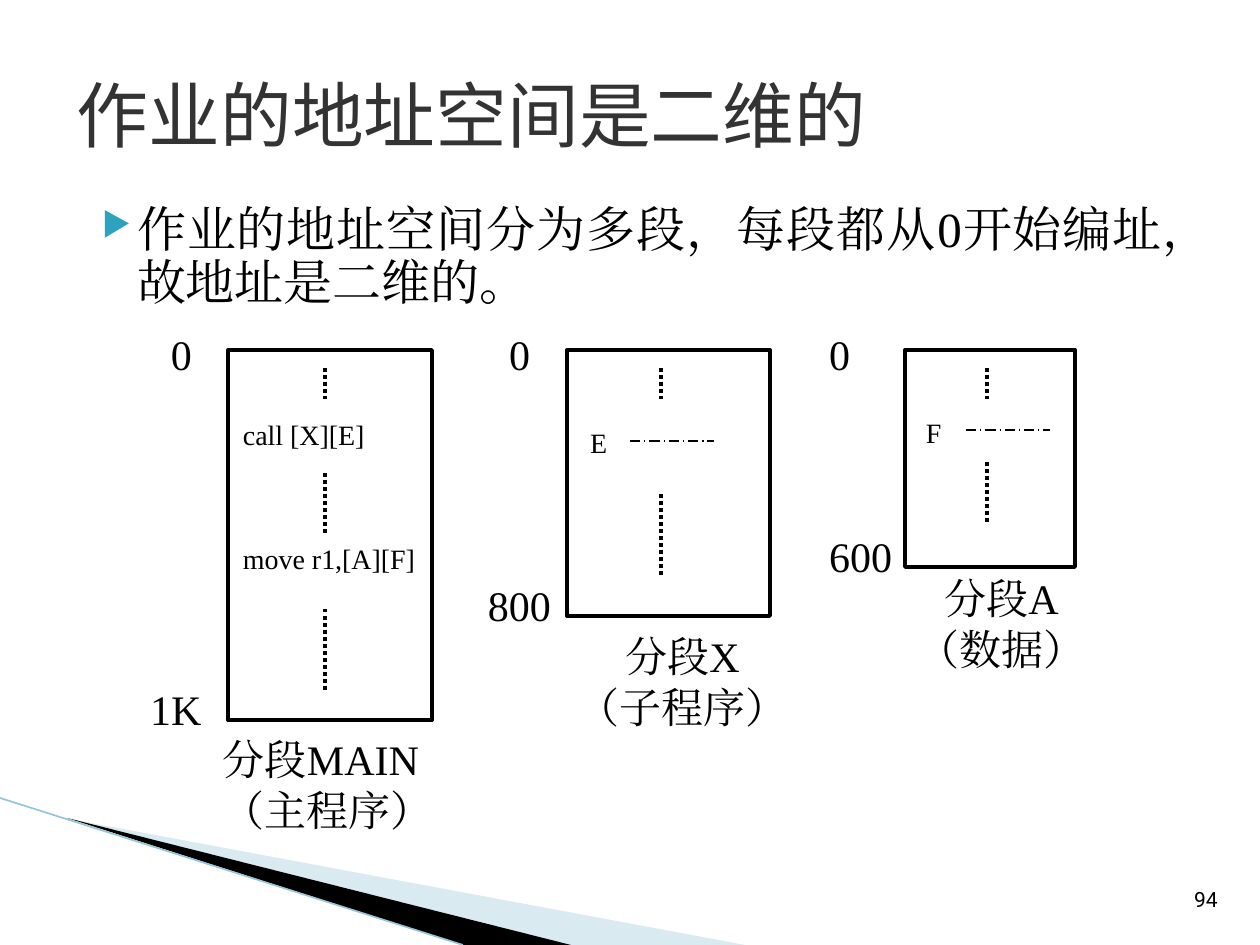
from dataclasses import dataclass

from lxml.etree import SubElement
from pptx import Presentation
from pptx.dml.color import RGBColor
from pptx.enum.dml import MSO_LINE
from pptx.enum.shapes import MSO_CONNECTOR, MSO_SHAPE
from pptx.enum.text import MSO_ANCHOR, PP_ALIGN
from pptx.oxml.ns import qn
from pptx.util import Pt

EMU_PER_PX = 914400 / 126
COLORS = {
    "white": "FFFFFF", "black": "000000", "title": "333333",
    "bullet": "2DA2BF", "pale": "A0CBDC", "edge": "97C5D8",
}
SERIF, SANS, NUMBER = "Times New Roman", "Noto Sans CJK SC", "Roboto"

Box = tuple[int, int, int, int]
Point = tuple[int, int]


@dataclass
class Segment:
    frame: Box
    start_x: int
    end_x: int
    end: str
    caption: list[str]
    caption_box: Box
    caption_align: PP_ALIGN
    code: list[tuple[str, int, int]]
    dots_x: int
    dots: list[Point]
    dash: tuple[Point, Point] | None = None


SEGMENTS = [
    Segment((228, 350, 204, 370), 171, 150, "1K", ["分段MAIN", "（主程序）"],
            (223, 734, 230, 100), PP_ALIGN.LEFT,
            [("call [X][E]", 243, 418), ("move r1,[A][F]", 243, 542)],
            325, [(368, 399), (473, 535), (609, 693)]),
    Segment((567, 350, 203, 266), 509, 488, "800", ["分段X", "（子程序）"],
            (567, 631, 231, 100), PP_ALIGN.CENTER, [("E", 590, 426)],
            661, [(368, 399), (494, 577)], ((630, 441), (714, 441))),
    Segment((905, 350, 170, 217), 829, 829, "600", ["分段A", "（数据）"],
            (911, 573, 181, 100), PP_ALIGN.CENTER, [("F", 926, 416)],
            987, [(368, 399), (462, 525)], ((966, 430), (1050, 430))),
]


def px(length: int) -> int:
    return round(length * EMU_PER_PX)


def color(name: str) -> RGBColor:
    return RGBColor.from_string(COLORS[name])


def place(shape, box: Box) -> None:
    shape.left, shape.top, shape.width, shape.height = map(px, box)


def write(shape, lines: list[str], *, size: float, font: str = SERIF, ink: str = "black",
          align: PP_ALIGN = PP_ALIGN.LEFT, anchor: MSO_ANCHOR = MSO_ANCHOR.TOP,
          wrap: bool = True) -> None:
    frame = shape.text_frame
    frame.word_wrap = wrap
    frame.vertical_anchor = anchor
    frame.margin_left = frame.margin_right = frame.margin_top = frame.margin_bottom = 0
    for index, line in enumerate(lines):
        paragraph = frame.paragraphs[0] if index == 0 else frame.add_paragraph()
        paragraph.alignment = align
        run = paragraph.add_run()
        run.text = line
        run.font.size = Pt(size)
        run.font.color.rgb = color(ink)
        run.font.name = font
        SubElement(run.font._element, qn("a:ea"), typeface=font)


def add_text(slide, lines: list[str], box: Box, **style):
    textbox = slide.shapes.add_textbox(*map(px, box))
    write(textbox, lines, **style)
    return textbox


def add_line(slide, start: Point, end: Point, width: float, ink: str = "black",
             dash: MSO_LINE | None = None) -> None:
    line = slide.shapes.add_connector(MSO_CONNECTOR.STRAIGHT, *map(px, start + end))
    line.line.width = Pt(width)
    line.line.color.rgb = color(ink)
    if dash is not None:
        line.line.dash_style = dash
    SubElement(line._element.spPr, qn("a:effectLst"))


def add_wedge(slide, points: list[Point], ink: str, opacity: int = 100) -> None:
    builder = slide.shapes.build_freeform(*points[0], scale=EMU_PER_PX)
    builder.add_line_segments(points[1:], close=True)
    wedge = builder.convert_to_shape()
    wedge.shadow.inherit = False
    wedge.line.fill.background()
    wedge.fill.solid()
    wedge.fill.fore_color.rgb = color(ink)
    if opacity < 100:
        fill = wedge._element.spPr.find(qn("a:solidFill"))
        SubElement(fill[0], qn("a:alpha"), val=str(opacity * 1000))


def add_statement(slide) -> None:
    """Add the bulleted sentence under the title."""
    statement = add_text(
        slide, ["作业的地址空间分为多段，每段都从0开始编址，故地址是二维的。"],
        (86, 205, 1077, 110), size=28, align=PP_ALIGN.JUSTIFY)
    paragraph = statement.text_frame.paragraphs[0]
    paragraph.line_spacing = 0.9
    properties = paragraph._p.get_or_add_pPr()
    properties.set("marL", str(px(51)))
    properties.set("indent", str(px(-35)))
    bullet_color = SubElement(properties, qn("a:buClr"))
    SubElement(bullet_color, qn("a:srgbClr"), val=COLORS["bullet"])
    SubElement(properties, qn("a:buSzPct"), val="68000")
    SubElement(properties, qn("a:buChar"), char="▶")


def add_segment(slide, segment: Segment) -> None:
    left, top, width, height = segment.frame
    frame = slide.shapes.add_shape(MSO_SHAPE.RECTANGLE, *map(px, segment.frame))
    frame.shadow.inherit = False
    frame.fill.solid()
    frame.fill.fore_color.rgb = color("white")
    frame.line.color.rgb = color("black")
    frame.line.width = Pt(2.25)

    for address, x, y in (("0", segment.start_x, top + 4),
                          (segment.end, segment.end_x, top + height - 11)):
        add_text(slide, [address], (x, y - 24, 70, 48), size=24,
                 anchor=MSO_ANCHOR.MIDDLE, wrap=False)
    add_text(slide, segment.caption, segment.caption_box, size=24,
             align=segment.caption_align)
    for code, x, y in segment.code:
        add_text(slide, [code], (x, y, left + width - x, 34), size=16, wrap=False)
    for y1, y2 in segment.dots:
        add_line(slide, (segment.dots_x, y1), (segment.dots_x, y2), 2,
                 dash=MSO_LINE.ROUND_DOT)
    if segment.dash:
        add_line(slide, *segment.dash, 0.75, dash=MSO_LINE.LONG_DASH_DOT)


def main() -> None:
    presentation = Presentation()
    presentation.slide_width, presentation.slide_height = px(1260), px(945)
    slide = presentation.slides.add_slide(presentation.slide_layouts[5])

    add_wedge(slide, [(69, 819), (745, 945), (571, 945)], "pale", opacity=40)
    add_wedge(slide, [(67, 818), (571, 945), (463, 945)], "black")
    add_line(slide, (0, 798), (463, 945), 0.95, ink="edge")

    title = slide.shapes.title
    place(title, (77, 35, 1120, 158))
    write(title, ["作业的地址空间是二维的"], size=41, font=SANS, ink="title",
          anchor=MSO_ANCHOR.MIDDLE)
    add_statement(slide)
    for segment in SEGMENTS:
        add_segment(slide, segment)
    add_text(slide, ["94"], (1181, 880, 50, 38), size=12, font=NUMBER,
             align=PP_ALIGN.CENTER, anchor=MSO_ANCHOR.MIDDLE, wrap=False)
    presentation.save("out.pptx")


if __name__ == "__main__":
    main()
